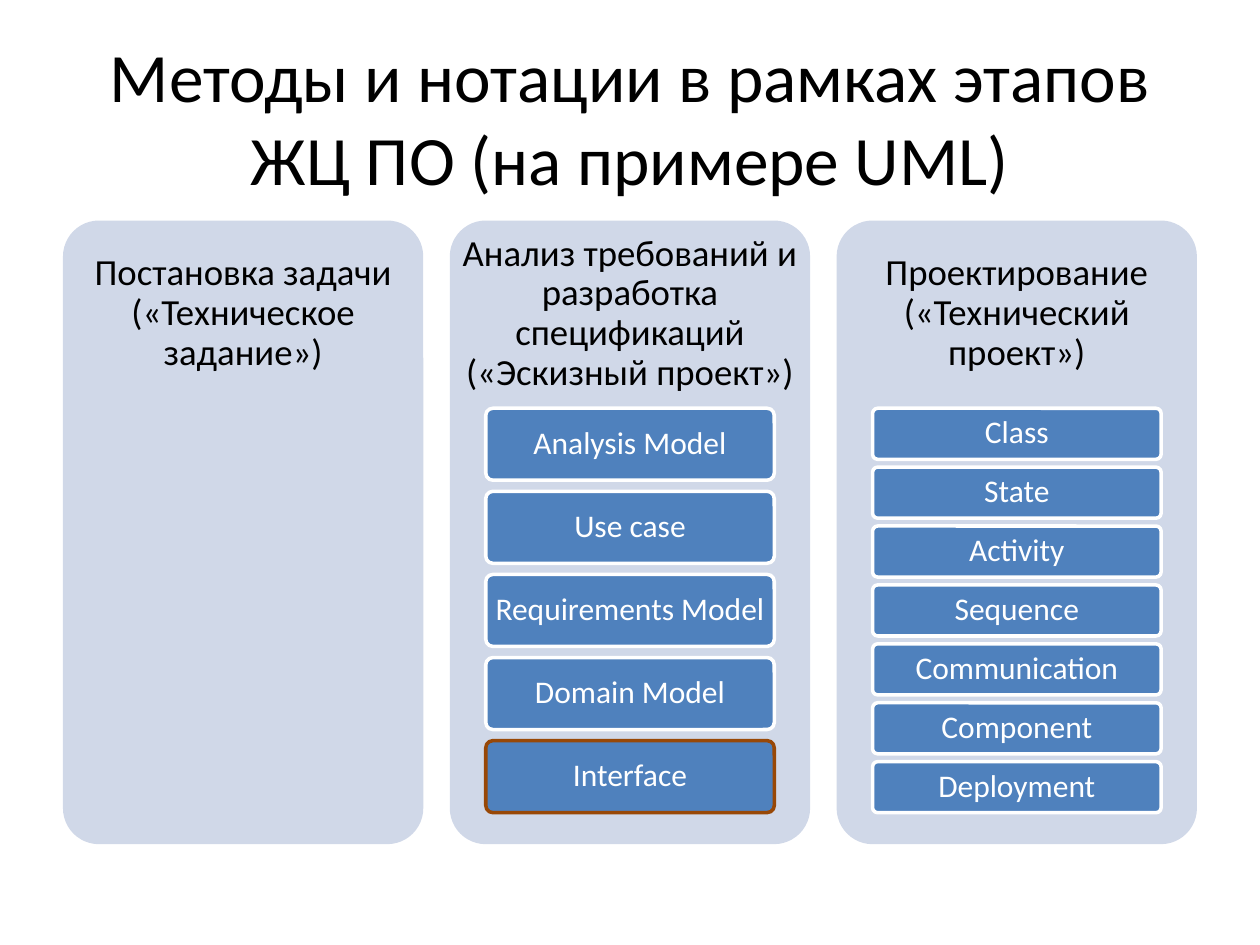
from dataclasses import dataclass

from pptx import Presentation
from pptx.dml.color import RGBColor
from pptx.enum.shapes import MSO_SHAPE
from pptx.enum.text import MSO_ANCHOR, MSO_AUTO_SIZE, PP_ALIGN
from pptx.shapes.autoshape import Shape
from pptx.slide import Slide
from pptx.util import Inches, Pt

BLACK = RGBColor(0x00, 0x00, 0x00)
WHITE = RGBColor(0xFF, 0xFF, 0xFF)
PANEL_FILL = RGBColor(0xD0, 0xD8, 0xE8)
MODEL_FILL = RGBColor(0x4F, 0x81, 0xBD)
HIGHLIGHT = RGBColor(0x98, 0x48, 0x07)

STAGE_LEFT, STAGE_TOP = 0.5, 1.75
STAGE_WIDTH, STAGE_HEIGHT, STAGE_PITCH = 2.86, 4.95, 3.07
HEADING_HEIGHT = 1.48
MODEL_WIDTH = 2.29
MODELS_TOP, MODELS_HEIGHT = 3.24, 3.21
GAP_RATIO = 2 / 13  # gap between models relative to model height


@dataclass(frozen=True)
class Stage:
    heading: str
    models: tuple[str, ...] = ()
    highlighted: str = ""


STAGES = (
    Stage("Постановка задачи («Техническое задание»)"),
    Stage(
        "Анализ требований и разработка спецификаций («Эскизный проект»)",
        ("Analysis Model", "Use case", "Requirements Model", "Domain Model",
         "Interface"),
        highlighted="Interface",
    ),
    Stage(
        "Проектирование («Технический проект»)",
        ("Class", "State", "Activity", "Sequence", "Communication",
         "Component", "Deployment"),
    ),
)


def write_text(shape: Shape, text: str, size: float, color: RGBColor,
               inset: float, line_spacing: float = 0.9) -> None:
    frame = shape.text_frame
    margin = Inches(inset)
    frame_format = {
        "word_wrap": True,
        "auto_size": MSO_AUTO_SIZE.NONE,
        "vertical_anchor": MSO_ANCHOR.MIDDLE,
        "margin_left": margin,
        "margin_right": margin,
        "margin_top": margin,
        "margin_bottom": margin,
    }
    for attribute, value in frame_format.items():
        setattr(frame, attribute, value)

    paragraph = frame.paragraphs[0]
    paragraph.alignment = PP_ALIGN.CENTER
    paragraph.line_spacing = line_spacing
    run = paragraph.add_run()
    run.text = text
    run.font.name = "Calibri"
    run.font.size = Pt(size)
    run.font.color.rgb = color


def add_rounded(slide: Slide, left: float, top: float, width: float,
                height: float, fill: RGBColor,
                outline: RGBColor | None = None) -> Shape:
    box = slide.shapes.add_shape(
        MSO_SHAPE.ROUNDED_RECTANGLE,
        Inches(left), Inches(top), Inches(width), Inches(height))
    box.adjustments[0] = 0.1
    box.shadow.inherit = False
    box.fill.solid()
    box.fill.fore_color.rgb = fill
    if outline is None:
        box.line.fill.background()
    else:
        box.line.color.rgb = outline
        box.line.width = Pt(2)
    return box


def add_models(slide: Slide, stage: Stage, left: float) -> None:
    """Stack the models so that any number of them fills the same height."""
    count = len(stage.models)
    if not count:
        return
    height = MODELS_HEIGHT / (count + (count - 1) * GAP_RATIO)
    for row, model in enumerate(stage.models):
        top = MODELS_TOP + row * height * (1 + GAP_RATIO)
        outline = HIGHLIGHT if model == stage.highlighted else WHITE
        box = add_rounded(slide, left, top, MODEL_WIDTH, height,
                          MODEL_FILL, outline)
        write_text(box, model, 18, WHITE, inset=0.04)


def add_stage(slide: Slide, stage: Stage, left: float) -> None:
    add_rounded(slide, left, STAGE_TOP, STAGE_WIDTH, STAGE_HEIGHT, PANEL_FILL)
    heading = slide.shapes.add_textbox(
        Inches(left), Inches(STAGE_TOP),
        Inches(STAGE_WIDTH), Inches(HEADING_HEIGHT))
    write_text(heading, stage.heading, 21, BLACK, inset=0.08)
    add_models(slide, stage, left + (STAGE_WIDTH - MODEL_WIDTH) / 2)


def add_title(slide: Slide, text: str) -> None:
    title = slide.shapes.title
    title.left, title.top = Inches(0.5), Inches(0.3)
    title.width, title.height = Inches(9), Inches(1.25)
    write_text(title, text, 39.6, BLACK, inset=0.1, line_spacing=1.0)


def main() -> None:
    presentation = Presentation()
    presentation.slide_width = Inches(10)
    presentation.slide_height = Inches(7.5)
    slide = presentation.slides.add_slide(presentation.slide_layouts[5])

    add_title(slide, "Методы и нотации в рамках этапов ЖЦ ПО (на примере UML)")
    for column, stage in enumerate(STAGES):
        add_stage(slide, stage, STAGE_LEFT + column * STAGE_PITCH)
    presentation.save("out.pptx")


if __name__ == "__main__":
    main()
